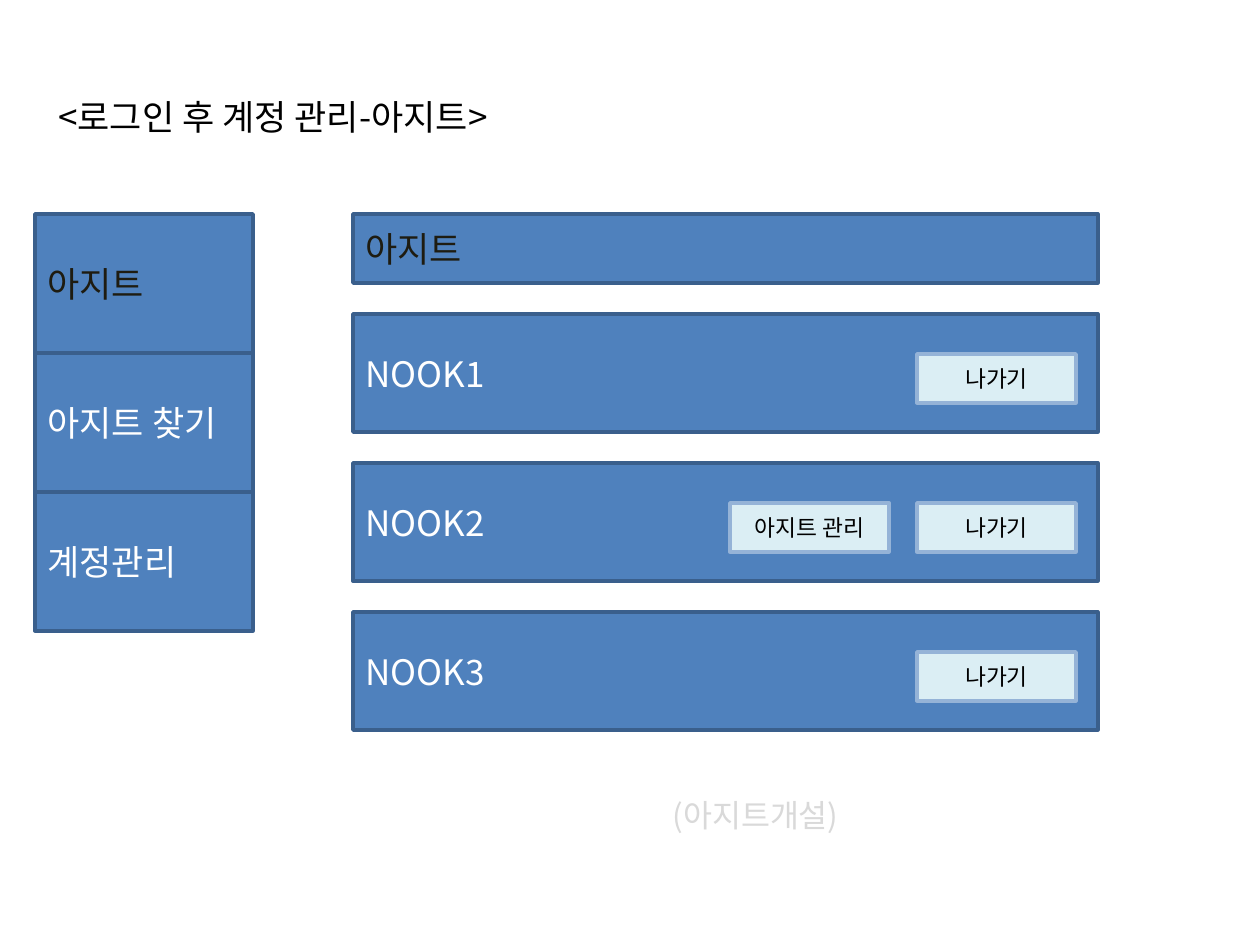
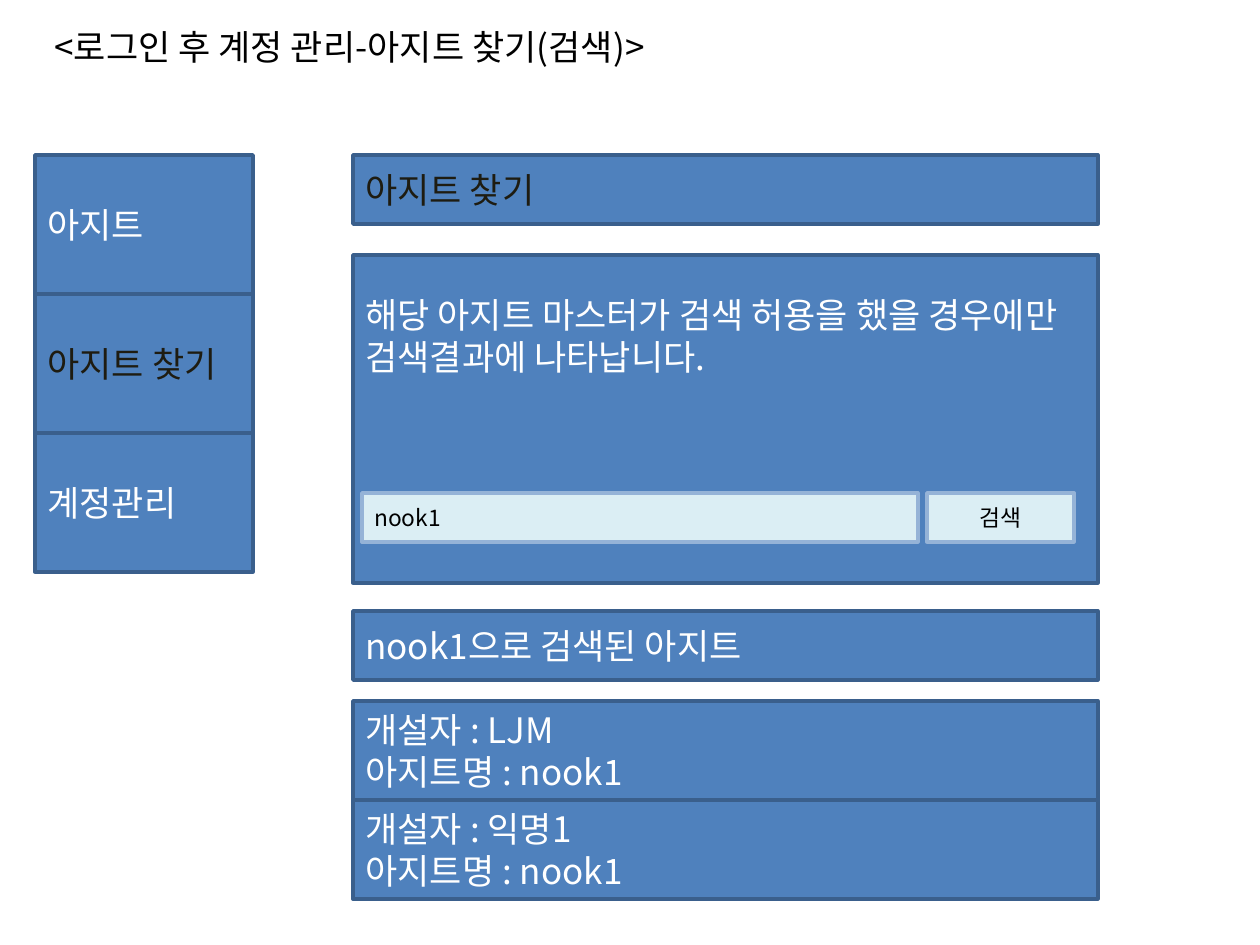
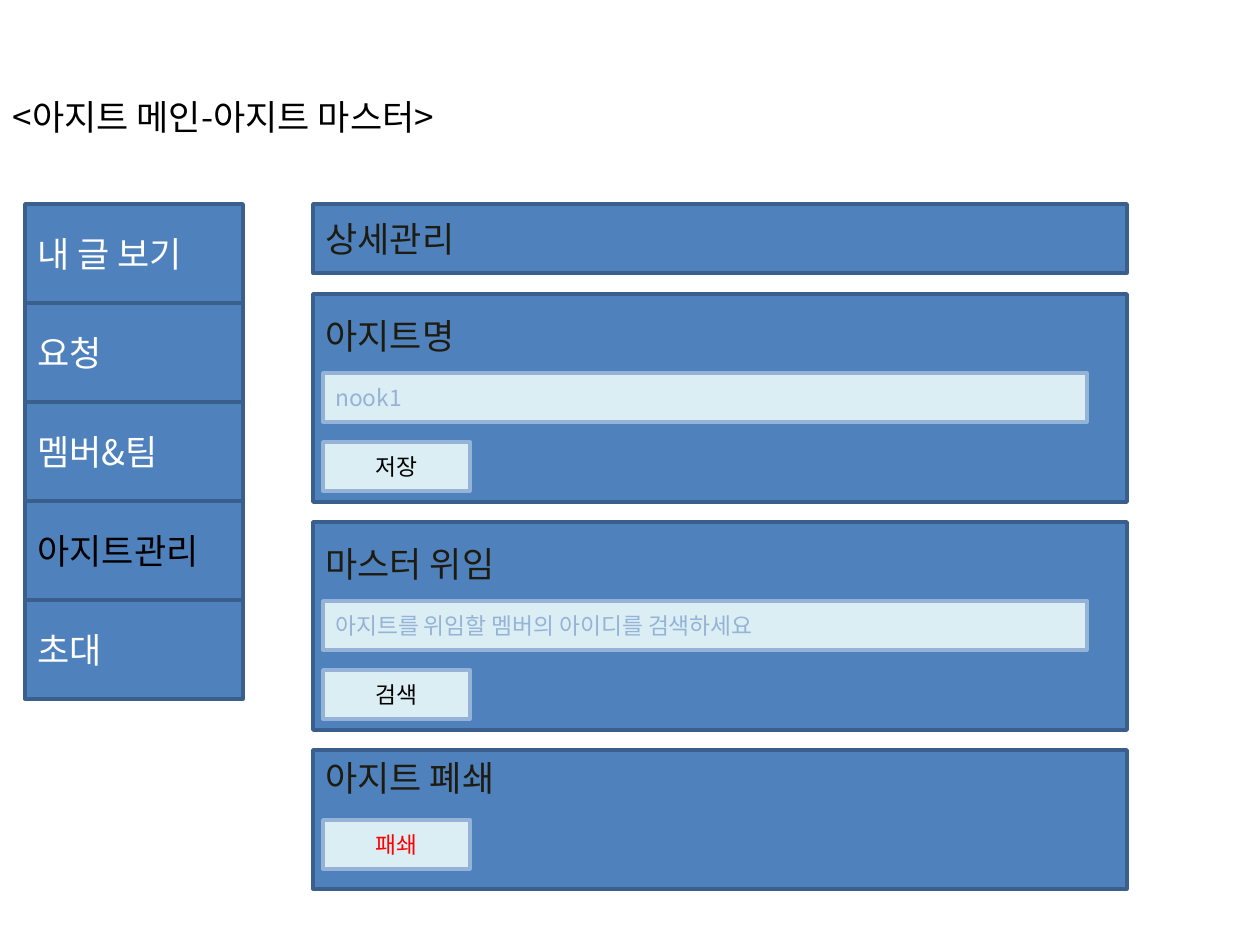
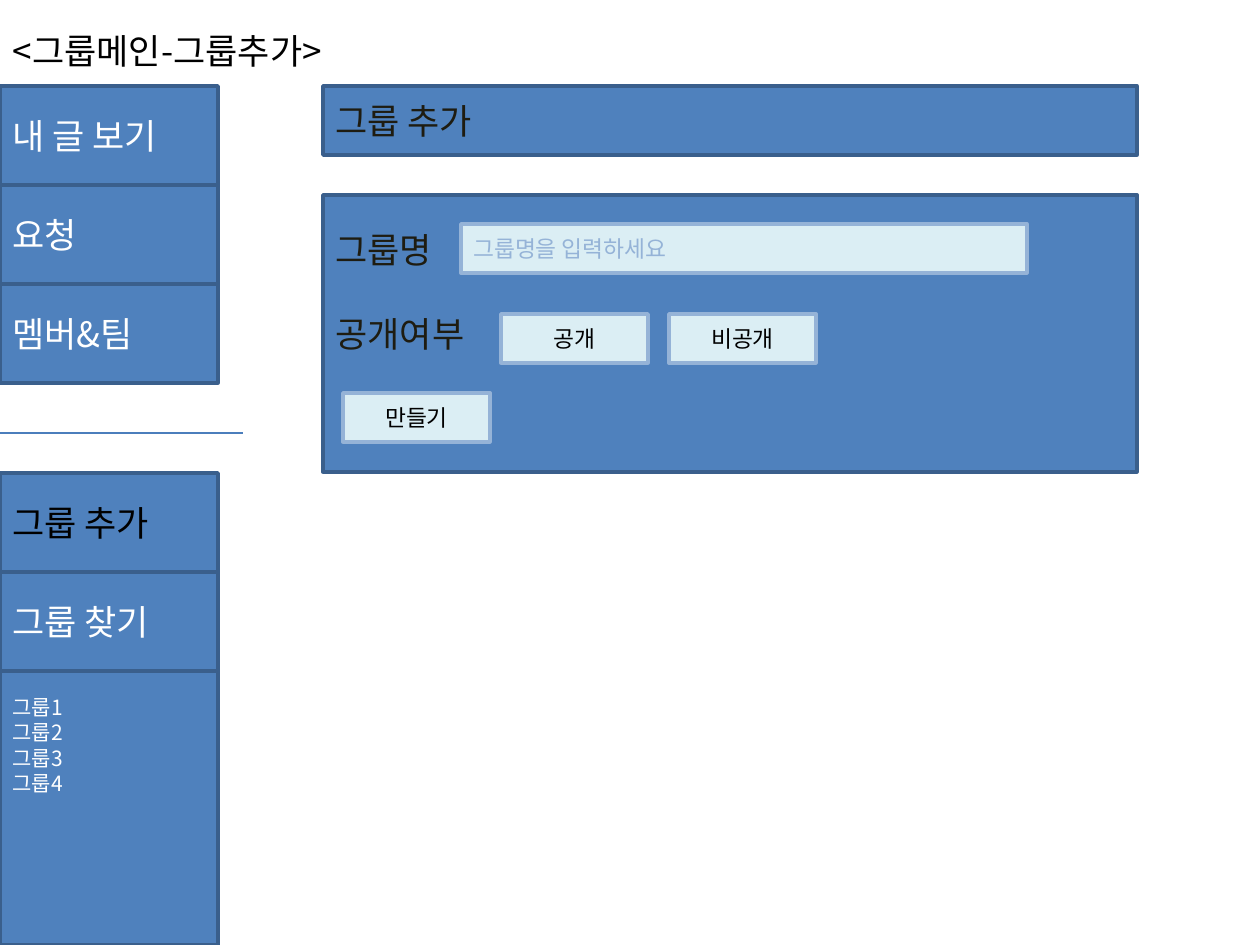
from lxml import etree
from pptx import Presentation
from pptx.dml.color import RGBColor
from pptx.enum.shapes import MSO_CONNECTOR, MSO_SHAPE
from pptx.enum.text import MSO_ANCHOR, MSO_AUTO_SIZE, PP_ALIGN
from pptx.oxml.ns import qn
from pptx.util import Inches, Pt

RECT = MSO_SHAPE.RECTANGLE
STRAIGHT = MSO_CONNECTOR.STRAIGHT
TOP, MIDDLE = MSO_ANCHOR.TOP, MSO_ANCHOR.MIDDLE
LEFT, CENTER = PP_ALIGN.LEFT, PP_ALIGN.CENTER
FIXED = MSO_AUTO_SIZE.NONE

FONT = "Noto Sans CJK KR"
BLUE, NAVY, RULE = "4F81BD", "3A5F8C", "4B7EBC"
PALE, EDGE = "DBEEF4", "95B3D7"
WHITE, BLACK, DARK = "FFFFFF", "000000", "1E1C11"
RED, GREY = "FF0000", "D9D9D9"

SCALE = Inches(1) / 126
LINE = 42
PAD = 6
BAR = 69
FIELD = 49
BUTTON = 147
SIDE = 218


def px(*nums):
    return [round(n * SCALE) for n in nums]


def tint(code):
    return RGBColor.from_string(code)


def write(shape, text, size=20, color=WHITE, align=LEFT, anchor=MIDDLE, foot=0, gap=0):
    frame = shape.text_frame
    look = {"word_wrap": True, "auto_size": FIXED, "vertical_anchor": anchor,
            "margin_bottom": px(PAD + foot)[0]}
    for name, value in look.items():
        setattr(frame, name, value)
    for i, part in enumerate(text.split("\n")):
        para = frame.add_paragraph() if i else frame.paragraphs[0]
        para.alignment = align
        para.space_before = Pt(gap if i else 0)
        run = para.add_run()
        run.text = part
        run.font.color.rgb = tint(color)
        for name, value in {"size": Pt(size), "name": FONT}.items():
            setattr(run.font, name, value)
        etree.SubElement(run.font._element, qn("a:ea"), typeface=FONT)


def block(slide, box, text, fill=BLUE, edge=NAVY, **look):
    shape = slide.shapes.add_shape(RECT, *px(*box))
    shape.shadow.inherit = False
    shape.fill.solid()
    shape.fill.fore_color.rgb = tint(fill)
    shape.line.color.rgb = tint(edge)
    shape.line.width = Pt(2)
    write(shape, text, **look)


def field(slide, x, y, width, text, color=EDGE):
    block(slide, (x, y, width, FIELD), text, PALE, EDGE, size=13, color=color)


def button(slide, x, y, text, width=BUTTON, color=BLACK):
    block(slide, (x, y, width, FIELD), text, PALE, EDGE,
          size=13, color=color, align=CENTER)


def menu(slide, x, y, step, items, chosen=None, accent=BLACK):
    for i, item in enumerate(items):
        block(slide, (x, y + i * step, SIDE, step), item,
              color=accent if item == chosen else WHITE)


def header(slide, x, y, width, text, color=DARK):
    block(slide, (x, y, width, BAR), text, color=color)


def start(deck, title, box, align=LEFT):
    slide = deck.slides.add_slide(deck.slide_layouts[5])
    head = slide.shapes.title
    for name, value in zip(("left", "top", "width", "height"), px(*box)):
        setattr(head, name, value)
    write(head, title, color=BLACK, align=align)
    return slide


def nook_row(slide, x, y, width, name, owner):
    block(slide, (x, y, width, 118), name)
    button(slide, x + 564, y + 40, "나가기", 159)
    if owner:
        button(slide, x + 377, y + 40, "아지트 관리", 159)


def search(slide, x, y, width):
    block(slide, (x, y, width, 328),
          "해당 아지트 마스터가 검색 허용을 했을 경우에만 검색결과에 나타납니다.",
          foot=4 * LINE)
    field(slide, x + 9, y + 238, 556, "nook1", BLACK)
    button(slide, x + 574, y + 238, "검색")


def results(slide, x, y, width, makers):
    header(slide, x, y, width, "nook1으로 검색된 아지트", WHITE)
    for i, maker in enumerate(makers):
        block(slide, (x, y + 90 + i * 99, width, 99),
              f"개설자 : {maker}\n아지트명 : nook1")


def form(slide, x, y, width, name, hint, action):
    block(slide, (x, y, width, 208), name, color=DARK, foot=3 * LINE)
    field(slide, x + 10, y + 79, 764, hint)
    button(slide, x + 10, y + 148, action)


def closing(slide, x, y, width):
    block(slide, (x, y, width, 139), "아지트 폐쇄", color=DARK, foot=2 * LINE)
    button(slide, x + 10, y + 70, "패쇄", color=RED)


def group_form(slide, x, y, width):
    block(slide, (x, y, width, 277), "그룹명\n공개여부",
          color=DARK, foot=2 * LINE, gap=24)
    field(slide, x + 138, y + 29, 566, "그룹명을 입력하세요")
    for i, choice in enumerate(("공개", "비공개")):
        button(slide, x + 178 + i * 168, y + 119, choice)
    button(slide, x + 20, y + 198, "만들기")


def divide(slide, x, y, width):
    line = slide.shapes.add_connector(STRAIGHT, *px(x, y, x + width, y))
    line.line.color.rgb = tint(RULE)
    line.line.width = Pt(0.75)
    etree.SubElement(line._element.spPr, qn("a:effectLst"))


def nook_list(deck, items):
    slide = start(deck, "<로그인 후 계정 관리-아지트>", (0, 66, 546, 100), CENTER)
    x, y, width = 353, 214, 745
    menu(slide, 35, y, 139, items, items[0], DARK)
    header(slide, x, y, width, items[0])
    for i in range(3):
        nook_row(slide, x, y + 100 + i * 149, width, f"NOOK{i + 1}", i == 1)
    note = slide.shapes.add_textbox(*px(660, 790, 218, 50))
    write(note, "(아지트개설)", size=18, color=GREY, anchor=TOP)


def nook_search(deck, items):
    slide = start(deck, "<로그인 후 계정 관리-아지트 찾기(검색)>",
                  (0, -4, 699, 100), CENTER)
    x, y, width = 353, 155, 745
    menu(slide, 35, y, 139, items, items[1], DARK)
    header(slide, x, y, width, items[1])
    search(slide, x, y + 100, width)
    results(slide, x, y + 456, width, ("LJM", "익명1"))


def nook_admin(deck, items):
    slide = start(deck, "<아지트 메인-아지트 마스터>", (0, 66, 1145, 100))
    x, y, width = 313, 204, 814
    menu(slide, 25, y, 99, items + ["아지트관리", "초대"], "아지트관리")
    header(slide, x, y, width, "상세관리")
    forms = (("아지트명", "nook1", "저장"),
             ("마스터 위임", "아지트를 위임할 멤버의 아이디를 검색하세요", "검색"))
    for i, parts in enumerate(forms):
        form(slide, x, y + 90 + i * 228, width, *parts)
    closing(slide, x, y + 546, width)


def group_add(deck, items):
    slide = start(deck, "<그룹메인-그룹추가>", (0, 0, 1145, 100))
    x, y, width = 323, 86, 814
    header(slide, x, y, width, "그룹 추가")
    group_form(slide, x, y + 109, width)
    menu(slide, 0, y, 99, items)
    divide(slide, 0, 433, 243)
    menu(slide, 0, 473, 99, ["그룹 추가", "그룹 찾기"], "그룹 추가")
    names = "\n".join(f"그룹{i}" for i in range(1, 5))
    block(slide, (0, 671, SIDE, 274), names, size=12, foot=3 * LINE)


def main():
    deck = Presentation()
    deck.slide_width, deck.slide_height = px(1260, 945)
    account = ["아지트", "아지트 찾기", "계정관리"]
    common = ["내 글 보기", "요청", "멤버&팀"]
    nook_list(deck, account)
    nook_search(deck, account)
    nook_admin(deck, common)
    group_add(deck, common)
    deck.save("out.pptx")


if __name__ == "__main__":
    main()
